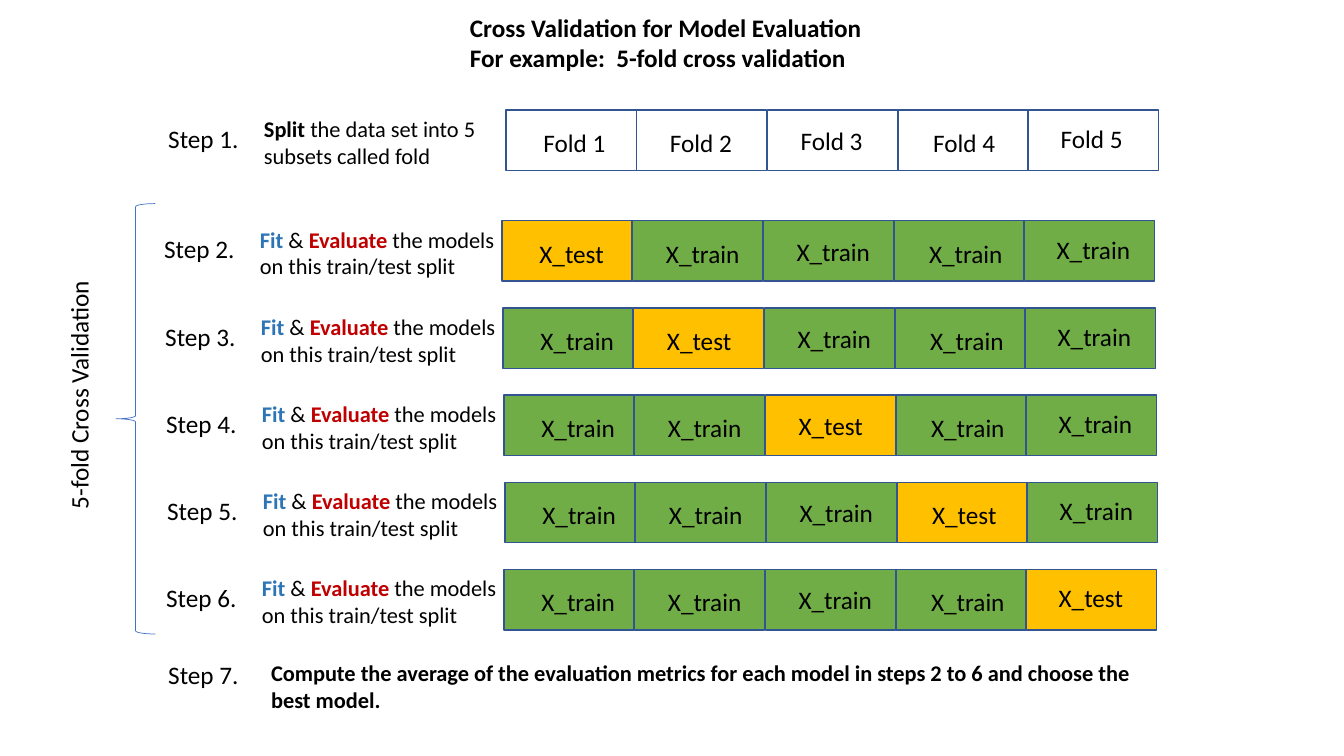
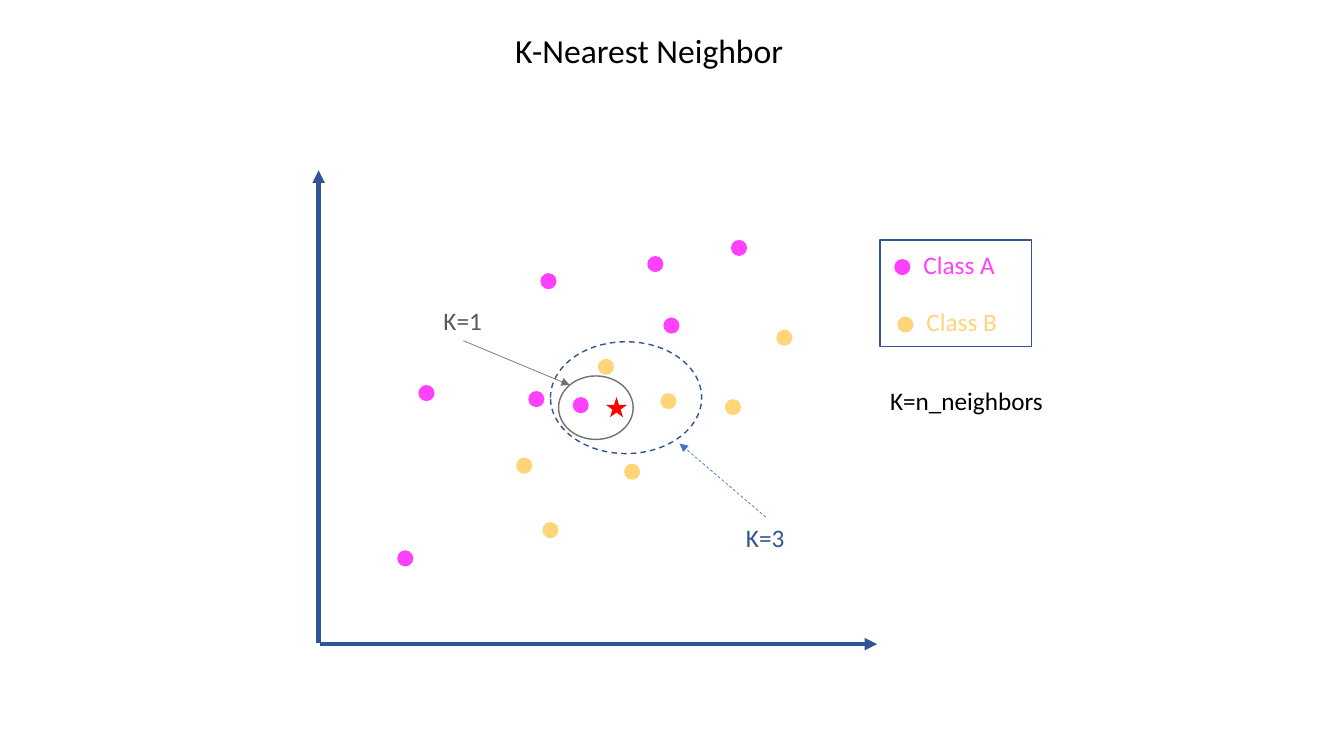
from lxml import etree
from pptx import Presentation
from pptx.dml.color import RGBColor
from pptx.enum.dml import MSO_LINE
from pptx.enum.shapes import MSO_CONNECTOR, MSO_SHAPE
from pptx.enum.text import MSO_ANCHOR, MSO_AUTO_SIZE, PP_ALIGN
from pptx.oxml.ns import qn
from pptx.util import Inches, Pt

RECTANGLE, OVAL = MSO_SHAPE.RECTANGLE, MSO_SHAPE.OVAL
STAR, BRACE = MSO_SHAPE.STAR_5_POINT, MSO_SHAPE.LEFT_BRACE
STRAIGHT, DASH = MSO_CONNECTOR.STRAIGHT, MSO_LINE.DASH
LEFT, TOP, NO_FIT = PP_ALIGN.LEFT, MSO_ANCHOR.TOP, MSO_AUTO_SIZE.NONE

BLACK = RGBColor(0x00, 0x00, 0x00)
OUTLINE = RGBColor(0x32, 0x54, 0x91)
NAVY = RGBColor(0x2F, 0x55, 0x97)
BLUE = RGBColor(0x44, 0x72, 0xC4)
FIT_BLUE = RGBColor(0x2E, 0x75, 0xB6)
EVALUATE_RED = RGBColor(0xC0, 0x00, 0x00)
TEST_AMBER = RGBColor(0xFF, 0xC0, 0x00)
TRAIN_GREEN = RGBColor(0x70, 0xAD, 0x47)
CLASS_A = RGBColor(0xFF, 0x40, 0xFF)
CLASS_B = RGBColor(0xFF, 0xD5, 0x79)
STAR_RED = RGBColor(0xFF, 0x00, 0x00)
GRAY = RGBColor(0x76, 0x71, 0x71)
DARK_GRAY = RGBColor(0x59, 0x59, 0x59)


class Deck:
    """Holds the shared style and the slide being drawn."""

    font = "Calibri"
    title_only = 5

    def __init__(self):
        self.prs = Presentation()
        self.prs.slide_width, self.prs.slide_height = Inches(13.33), Inches(7.5)
        self.slide = None

    def new_slide(self, box, lines, size, bold=False):
        self.slide = self.prs.slides.add_slide(
            self.prs.slide_layouts[self.title_only])
        title = self.slide.shapes.title
        title.left, title.top, title.width, title.height = map(Inches, box)
        paragraphs = [[(line, BLACK, bold)] for line in lines]
        self.fill_text(title.text_frame, paragraphs, size, wrap=False)

    def fill_text(self, frame, paragraphs, size, wrap=True):
        """Each paragraph is a list of (text, colour, bold) runs."""
        frame.word_wrap, frame.auto_size = wrap, NO_FIT
        frame.vertical_anchor = TOP
        for number, runs in enumerate(paragraphs):
            paragraph = frame.add_paragraph() if number else frame.paragraphs[0]
            paragraph.alignment = LEFT
            for words, color, bold in runs:
                run = paragraph.add_run()
                run.text = words
                run.font.name, run.font.size = self.font, Pt(size)
                run.font.bold, run.font.color.rgb = bold, color

    def text(self, box, runs, size=16):
        caption = self.slide.shapes.add_textbox(*map(Inches, box))
        self.fill_text(caption.text_frame, [runs], size)
        return caption

    def label(self, box, words, color=BLACK):
        caption = self.text(box, [(words, color, False)], 18)
        caption.text_frame.word_wrap = False
        return caption

    def stroke(self, line, color, weight, dash=None):
        line.color.rgb, line.width = color, Pt(weight)
        if dash:
            line.dash_style = dash

    def shape(self, kind, box, fill=None, outline=None, weight=1, dash=None):
        figure = self.slide.shapes.add_shape(kind, *map(Inches, box))
        figure.shadow.inherit = False
        if fill is None:
            figure.fill.background()
        else:
            figure.fill.solid()
            figure.fill.fore_color.rgb = fill
        if outline is None:
            figure.line.fill.background()
        else:
            self.stroke(figure.line, outline, weight, dash)
        return figure

    def cell(self, box, words, inset, fill=None):
        frame = self.shape(RECTANGLE, box, fill, OUTLINE).text_frame
        frame.margin_left, frame.margin_top = map(Inches, inset)
        frame.margin_right = frame.margin_bottom = 0
        self.fill_text(frame, [[(words, BLACK, False)]], 18)

    def dot(self, left, top, color):
        self.shape(OVAL, (left, top, 0.16, 0.16), color)

    def arrow(self, start, end, color, weight, dash=None, origin=None):
        """origin is an optional (shape, side) pair to start from."""
        line = self.slide.shapes.add_connector(
            STRAIGHT, *map(Inches, (*start, *end)))
        if origin:
            line.begin_connect(*origin)
        self.stroke(line.line, color, weight, dash)
        properties = line._element.spPr
        etree.SubElement(properties.find(qn("a:ln")), qn("a:tailEnd"),
                         type="triangle")
        etree.SubElement(properties, qn("a:effectLst"))


# Cross-validation grid
FOLDS = 5
FOLD_SPAN = 5.18  # from the first fold's left edge to the last one's
FOLD_SIZE = (1.29, 0.6)
FOLD_INSETS = [(0.37, 0.17), (0.33, 0.17), (0.33, 0.15),
               (0.35, 0.17), (0.32, 0.13)]
SPLIT_LEFTS = [4.98, 4.99, 5, 5.01, 5]
FIRST_SPLIT, LAST_SPLIT = 2.19, 5.65


def step_row(deck, step, left, top, description, width, cells):
    """One step: its number, what it does, and its folds."""
    deck.label((left - 3.45, top + 0.08, 0.91, 0.4), f"Step {step}.")
    for fold, (words, fill) in enumerate(cells):
        fold_left = left + FOLD_SPAN * fold / (FOLDS - 1)
        deck.cell((fold_left, top, *FOLD_SIZE), words, FOLD_INSETS[fold], fill)
    deck.text((left - 2.5, top, width, 0.64), description)


def cross_validation(deck):
    deck.new_slide((4.56, 0.07, 4.12, 0.71),
                   ["Cross Validation for Model Evaluation",
                    "For example:  5-fold cross validation"], 18, bold=True)

    # Brace around the repeated steps
    brace = deck.shape(BRACE, (1.15, 2.02, 0.39, 4.27), None, BLUE, 0.5)
    brace.adjustments[0], brace.adjustments[1] = 0.08, 0.5
    deck.label((-0.52, 3.65, 2.6, 0.4), "5-fold Cross Validation").rotation = 270

    # Step 1: the split
    split = [("Split", BLACK, True),
             (" the data set into 5 subsets called fold", BLACK, False)]
    step_row(deck, 1, 4.98 + 0.04, 1.09, split, 2.33,
             [(f"Fold {fold + 1}", None) for fold in range(FOLDS)])

    # Steps 2 to 6: each fold is the test set once
    evaluate = [("Fit", FIT_BLUE, True), (" & ", BLACK, False),
                ("Evaluate", EVALUATE_RED, True),
                (" the models on this train/test split", BLACK, False)]
    for test_fold, left in enumerate(SPLIT_LEFTS):
        top = FIRST_SPLIT + (LAST_SPLIT - FIRST_SPLIT) * test_fold / (FOLDS - 1)
        cells = [("X_test", TEST_AMBER) if fold == test_fold
                 else ("X_train", TRAIN_GREEN) for fold in range(FOLDS)]
        step_row(deck, test_fold + 2, left, top, evaluate, 2.67, cells)

    # Step 7: the conclusion
    deck.label((1.57, 6.49, 0.91, 0.4), "Step 7.")
    deck.text((2.59, 6.49, 8.89, 0.64),
              [("Compute the average of the evaluation metrics for each model "
                "in steps 2 to 6 and choose the best model.", BLACK, True)])


CLASS_A_POINTS = [(7.25, 2.38), (6.42, 2.54), (5.36, 2.71), (6.58, 3.15),
                  (5.24, 3.88), (4.15, 3.82), (3.94, 5.46), (5.68, 3.94)]
CLASS_B_POINTS = [(7.7, 3.27), (5.93, 3.56), (5.12, 4.54), (6.19, 4.6),
                  (7.19, 3.96), (6.55, 3.9), (5.38, 5.18)]


def nearest_neighbor(deck):
    deck.new_slide((5.01, 0.25, 2.96, 0.5), ["K-Nearest Neighbor"], 24)

    # Axes
    deck.arrow((3.16, 6.38), (3.16, 1.69), NAVY, 3)
    deck.arrow((3.17, 6.39), (8.7, 6.39), NAVY, 3)

    # Points of both classes and the new sample
    for points, color in ((CLASS_A_POINTS, CLASS_A), (CLASS_B_POINTS, CLASS_B)):
        for left, top in points:
            deck.dot(left, top, color)
    deck.shape(STAR, (6.01, 3.94, 0.21, 0.2), STAR_RED)

    # Neighborhoods and their callouts
    deck.shape(OVAL, (5.54, 3.73, 0.74, 0.63), None, GRAY)
    deck.shape(OVAL, (5.46, 3.39, 1.5, 1.11), None, OUTLINE, dash=DASH)
    one = deck.label((4.3, 2.98, 0.59, 0.4), "K=1", DARK_GRAY)
    deck.arrow((4.6, 3.38), (5.65, 3.82), GRAY, 0.5, origin=(one, 2))
    three = deck.label((7.3, 5.13, 0.59, 0.4), "K=3", NAVY)
    deck.arrow((7.59, 5.13), (6.74, 4.4), BLUE, 0.5, DASH, origin=(three, 0))

    # Legend
    deck.shape(RECTANGLE, (8.73, 2.38, 1.5, 1.06), None, OUTLINE)
    for name, color, left, top in (("Class A", CLASS_A, 8.87, 2.57),
                                   ("Class B", CLASS_B, 8.9, 3.14)):
        deck.dot(left, top, color)
        deck.label((left + 0.19, top - 0.15, 0.92, 0.4), name, color)
    deck.label((8.73, 3.77, 1.74, 0.4), "K=n_neighbors")


def main():
    deck = Deck()
    cross_validation(deck)
    nearest_neighbor(deck)
    deck.prs.save("out.pptx")


if __name__ == "__main__":
    main()
